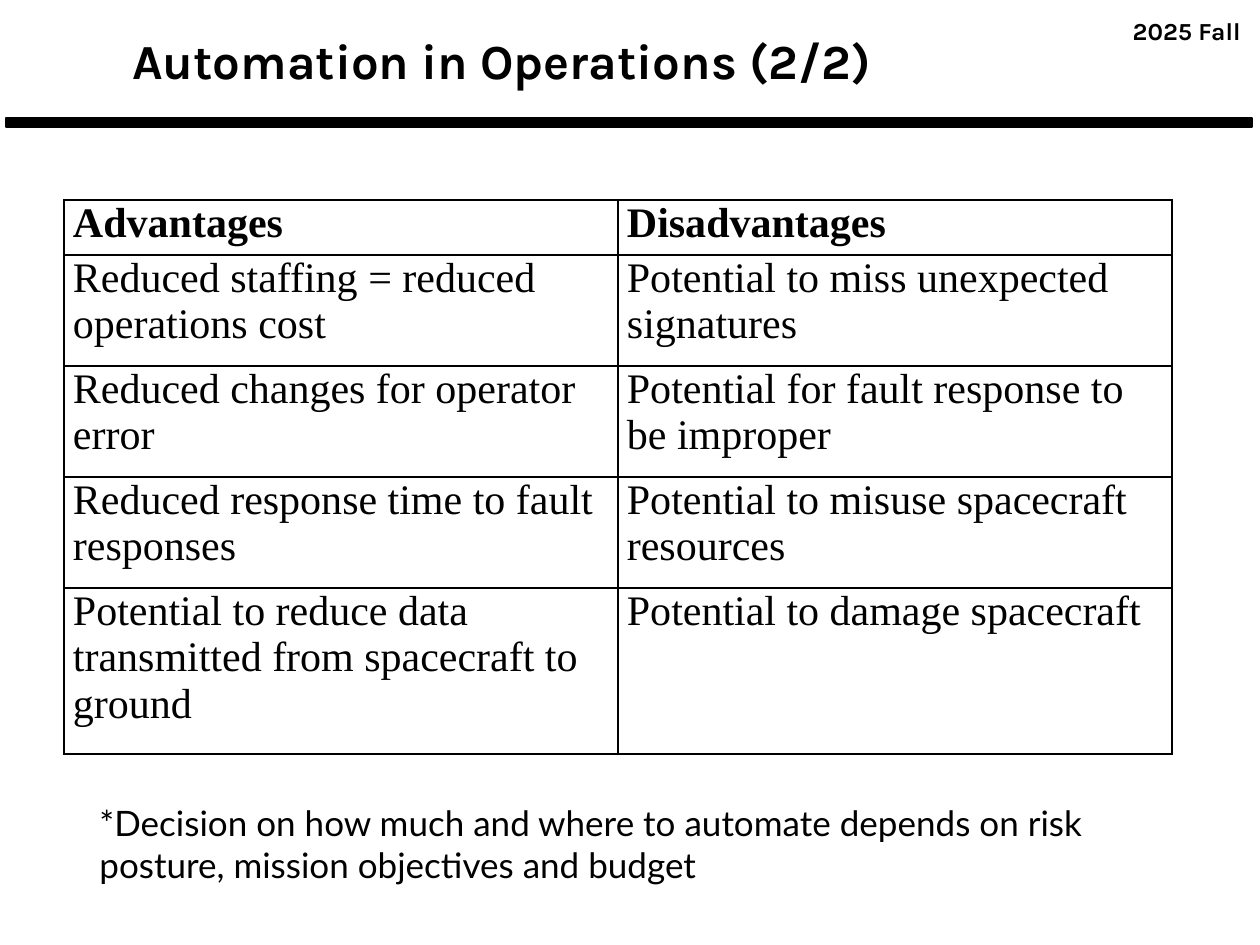
from dataclasses import dataclass

from lxml.etree import SubElement
from pptx import Presentation
from pptx.dml.color import RGBColor
from pptx.enum.shapes import MSO_SHAPE as Shape
from pptx.enum.text import MSO_ANCHOR as Anchor, PP_ALIGN as Align
from pptx.oxml.ns import qn
from pptx.slide import Slide
from pptx.table import _Cell as Cell
from pptx.text.text import _Paragraph as Paragraph
from pptx.util import Emu, Pt

PX_PER_INCH = 126
BLACK = RGBColor(0x00, 0x00, 0x00)
BLANK_LAYOUT = 6

TABLE_LEFT, TABLE_TOP = 64, 200
COLUMN_WIDTH = 554
ROW_HEIGHTS = (55, 111, 111, 111, 166)
CELL_MARGIN = 9
ROWS = (
    ("Advantages", "Disadvantages"),
    ("Reduced staffing = reduced operations cost",
     "Potential to miss unexpected signatures"),
    ("Reduced changes for operator error",
     "Potential for fault response to be improper"),
    ("Reduced response time to fault responses",
     "Potential to misuse spacecraft resources"),
    ("Potential to reduce data transmitted from spacecraft to ground",
     "Potential to damage spacecraft"),
)


@dataclass(frozen=True)
class Label:
    text: str
    left: int
    top: int
    width: int
    height: int
    font: str
    size: int
    bold: bool = False
    align: Align = Align.LEFT
    anchor: Anchor = Anchor.TOP
    line_spacing: float = 1.0


LABELS = (
    Label("2025 Fall", 1119, 10, 134, 43, "Karla", 14, bold=True,
          align=Align.RIGHT),
    Label("Automation in Operations (2/2)", 120, 19, 1086, 89, "Karla", 28,
          bold=True, anchor=Anchor.MIDDLE, line_spacing=0.9),
    Label("*Decision on how much and where to automate depends on risk "
          "posture, mission objectives and budget",
          87, 795, 1075, 136, "Lato", 20),
)


def px(length: int) -> Emu:
    return Emu(round(length * 914400 / PX_PER_INCH))


def format_runs(para: Paragraph, font: str, size: int, bold: bool) -> None:
    for span in para.runs:
        span.font.name = font
        span.font.size = Pt(size)
        span.font.bold = bold
        span.font.color.rgb = BLACK


def add_label(page: Slide, label: Label) -> None:
    box = page.shapes.add_textbox(px(label.left), px(label.top),
                                  px(label.width), px(label.height))
    frame = box.text_frame
    frame.text = label.text
    frame.word_wrap = True
    frame.vertical_anchor = label.anchor
    para = frame.paragraphs[0]
    para.alignment = label.align
    para.line_spacing = label.line_spacing
    format_runs(para, label.font, label.size, label.bold)


def add_header_rule(page: Slide) -> None:
    rule = page.shapes.add_shape(Shape.RECTANGLE, px(6), px(118),
                                 px(1246), px(9))
    rule.shadow.inherit = False
    rule.fill.solid()
    rule.fill.fore_color.rgb = BLACK
    rule.line.color.rgb = BLACK
    rule.line.width = Pt(1.5)


def add_borders(cell: Cell) -> None:
    properties = cell._tc.get_or_add_tcPr()
    for position, side in enumerate(("lnL", "lnR", "lnT", "lnB")):
        line = SubElement(properties, qn(f"a:{side}"), w=str(Pt(1)))
        fill = SubElement(line, qn("a:solidFill"))
        SubElement(fill, qn("a:srgbClr"), val=str(BLACK))
        properties.insert(position, line)  # borders precede the cell fill


def fill_cell(cell: Cell, text: str, bold: bool) -> None:
    cell.text_frame.text = text
    cell.margin_left = cell.margin_right = px(CELL_MARGIN)
    cell.margin_top = cell.margin_bottom = 0
    cell.fill.background()
    format_runs(cell.text_frame.paragraphs[0], "Times New Roman", 24, bold)
    add_borders(cell)


def add_comparison_table(page: Slide) -> None:
    column_count = len(ROWS[0])
    table = page.shapes.add_table(
        len(ROWS), column_count, px(TABLE_LEFT), px(TABLE_TOP),
        px(COLUMN_WIDTH * column_count), px(sum(ROW_HEIGHTS))).table
    table.first_row = table.horz_banding = False
    for column in table.columns:
        column.width = px(COLUMN_WIDTH)
    for row_index, (height, texts) in enumerate(zip(ROW_HEIGHTS, ROWS)):
        table.rows[row_index].height = px(height)
        for column_index, text in enumerate(texts):
            fill_cell(table.cell(row_index, column_index), text,
                      bold=row_index == 0)


def main() -> None:
    deck = Presentation()
    deck.slide_width, deck.slide_height = px(1260), px(945)
    page = deck.slides.add_slide(deck.slide_layouts[BLANK_LAYOUT])
    add_header_rule(page)
    add_comparison_table(page)
    for label in LABELS:
        add_label(page, label)
    deck.save("out.pptx")


if __name__ == "__main__":
    main()
